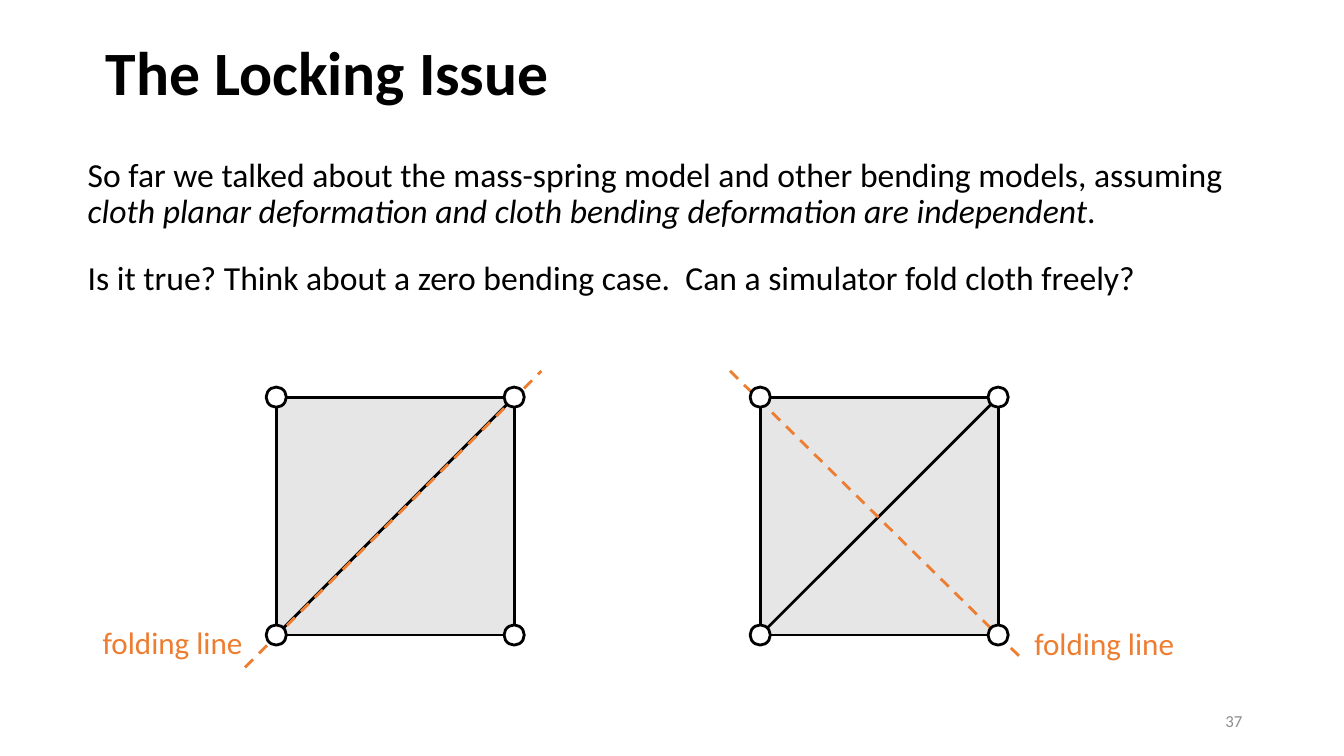
from lxml import etree
from pptx import Presentation
from pptx.dml.color import RGBColor
from pptx.enum.dml import MSO_LINE
from pptx.enum.shapes import MSO_CONNECTOR, MSO_SHAPE
from pptx.enum.text import MSO_ANCHOR, MSO_AUTO_SIZE, PP_ALIGN
from pptx.oxml.ns import qn
from pptx.util import Inches, Pt

BLACK = RGBColor(0x00, 0x00, 0x00)
WHITE = RGBColor(0xFF, 0xFF, 0xFF)
CLOTH = RGBColor(0xE7, 0xE6, 0xE6)
ORANGE = RGBColor(0xED, 0x7D, 0x31)
GRAY = RGBColor(0x8C, 0x8C, 0x8C)

SIDE = 2.36      # edge of a cloth square
NODE = 0.2       # diameter of a mass node
TOP = 3.94       # top of both squares

deck = Presentation()
deck.slide_width, deck.slide_height = Inches(13.33), Inches(7.5)
page = deck.slides.add_slide(deck.slide_layouts[1])


def write(box, area, paragraphs, size, color=BLACK, spacing=0.9, align=PP_ALIGN.LEFT):
    """Place a box and fill it; each paragraph is a list of (text, italic) spans."""
    box.left, box.top, box.width, box.height = map(Inches, area)
    frame = box.text_frame
    frame.word_wrap = True
    frame.auto_size = MSO_AUTO_SIZE.NONE
    frame.vertical_anchor = MSO_ANCHOR.MIDDLE
    for index, spans in enumerate(paragraphs):
        para = frame.add_paragraph() if index else frame.paragraphs[0]
        para.alignment = align
        para.line_spacing = spacing
        para.space_before = Pt(22 if index else 0)
        para.font.name, para.font.size = "Calibri", Pt(size)
        para.font.color.rgb = color
        for text, italic in spans:
            span = para.add_run()
            span.text = text
            if italic:
                span.font.italic = True


def draw_line(start, end, color):
    line = page.shapes.add_connector(MSO_CONNECTOR.STRAIGHT, *map(Inches, start + end))
    line.line.color.rgb = color
    line.line.width = Pt(2)
    etree.SubElement(line._element.spPr, qn("a:effectLst"))
    return line


# Title
title = page.shapes.title
write(title, (0.95, 0.02, 11.5, 1.45), [[("The Locking Issue", False)]], 44)
title.text_frame.paragraphs[0].font.bold = True

# Body text without bullets
body = page.placeholders[1]
write(body, (0.77, 1.2, 11.85, 2.12), [
    [("So far we talked about the mass-spring model and other bending models, assuming ", False),
     ("cloth planar deformation and cloth bending deformation are independent", True),
     (".", False)],
    [("Is it true? Think about a zero bending case.  Can a simulator fold cloth freely?", False)],
], 24)
for para in body.text_frame.paragraphs:
    properties = para._p.get_or_add_pPr()
    properties.set("marL", "0")
    properties.set("indent", "0")
    no_bullet = etree.Element(qn("a:buNone"))
    properties.find(qn("a:defRPr")).addprevious(no_bullet)

# Cloth squares: left edge, folding line ends, label position
squares = [
    (2.74, (2.43, 6.62), (5.37, 3.68), (0.92, 6.2)),
    (7.54, (7.24, 3.68), (10.16, 6.56), (10.16, 6.21)),
]
for left, fold_start, fold_end, label_corner in squares:
    right, bottom = left + SIDE, TOP + SIDE
    cloth = page.shapes.add_shape(MSO_SHAPE.RECTANGLE, *map(Inches, (left, TOP, SIDE, SIDE)))
    cloth.fill.solid()
    cloth.fill.fore_color.rgb = CLOTH
    cloth.line.color.rgb = BLACK
    cloth.line.width = Pt(2)
    cloth.shadow.inherit = False

    # Shared edge and folding line
    draw_line((left, bottom), (right, TOP), BLACK)
    draw_line(fold_start, fold_end, ORANGE).line.dash_style = MSO_LINE.DASH

    # Mass nodes on the four corners
    for x in (left, right):
        for y in (TOP, bottom):
            node = page.shapes.add_shape(
                MSO_SHAPE.OVAL, *map(Inches, (x - NODE / 2, y - NODE / 2, NODE, NODE)))
            node.fill.solid()
            node.fill.fore_color.rgb = WHITE
            node.line.color.rgb = BLACK
            node.line.width = Pt(2)
            node.shadow.inherit = False

    label = page.shapes.add_textbox(0, 0, 0, 0)
    write(label, label_corner + (1.79, 0.41), [[("folding line", False)]], 22.2, ORANGE, 0.8)

# Page number
number = page.shapes.add_textbox(0, 0, 0, 0)
write(number, (9.42, 6.95, 3, 0.4), [[("37", False)]], 12, GRAY, 1.0, PP_ALIGN.RIGHT)

deck.save("out.pptx")
